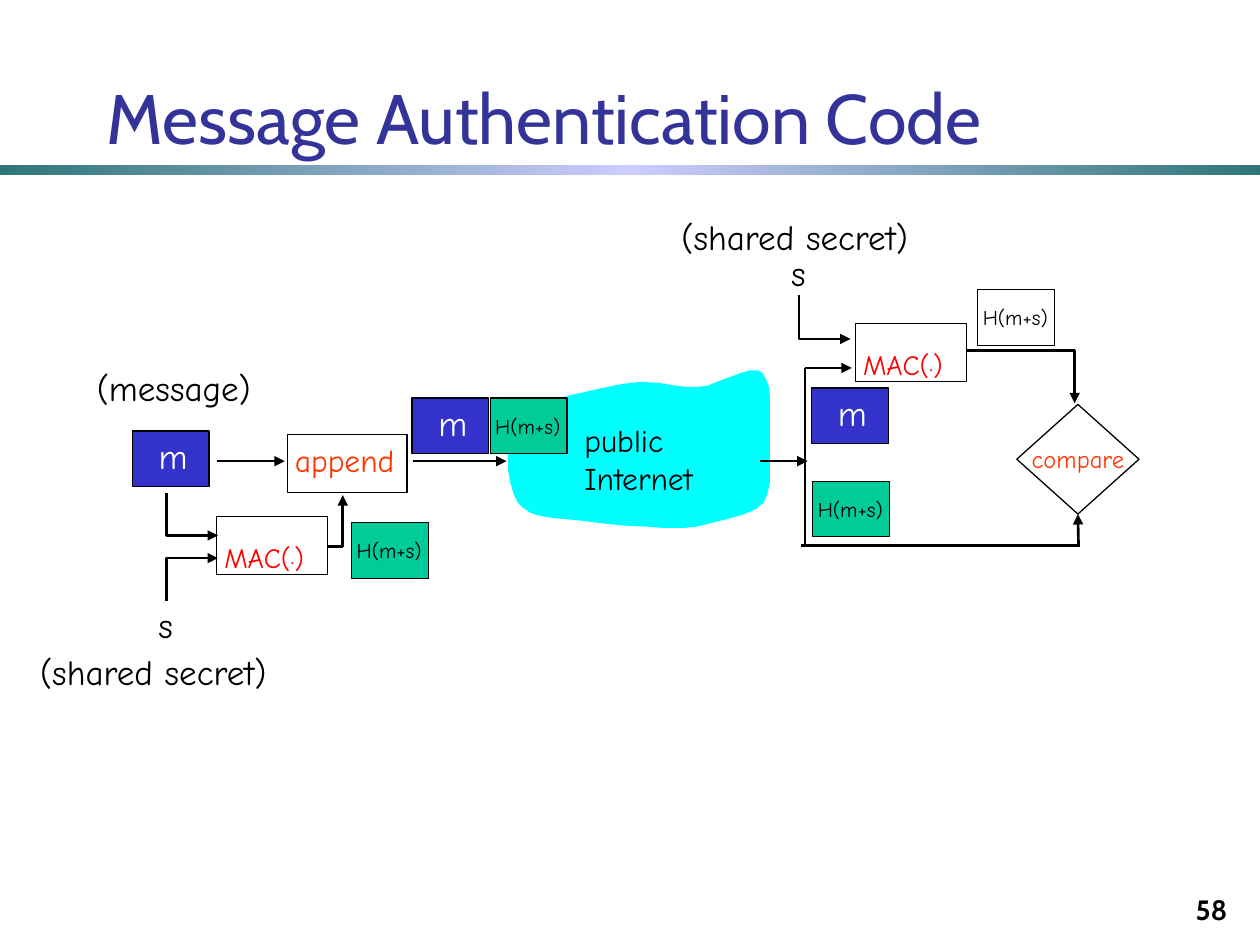
from copy import deepcopy
from dataclasses import dataclass

from lxml import etree
from pptx import Presentation
from pptx.dml.color import RGBColor
from pptx.enum import shapes, text
from pptx.oxml import ns
from pptx.util import Inches, Pt

BLACK = RGBColor(0, 0, 0)
WHITE = RGBColor(255, 255, 255)
BLUE = RGBColor(0x33, 0x33, 0xCC)
GREEN = RGBColor(0x00, 0xCC, 0x99)
CYAN = RGBColor(0x00, 0xFF, 0xFF)
RED = RGBColor(0xFF, 0x00, 0x00)
ORANGE = RGBColor(0xFF, 0x33, 0x00)
INDIGO = RGBColor(0x33, 0x33, 0x99)
TEAL = RGBColor(0x2F, 0x76, 0x76)
LAVENDER = RGBColor(0xCC, 0xCC, 0xFF)
BODY_FONT, TITLE_FONT = "Comic Neue", "Cabin"

Point = tuple[float, float]


@dataclass(frozen=True)
class NodeStyle:
    label: str
    width: float
    height: float
    fill: RGBColor
    ink: RGBColor
    size: int
    inset: Point


@dataclass(frozen=True)
class Label:
    words: str
    left: float
    top: float
    width: float
    height: float
    size: int = 20
    ink: RGBColor = BLACK
    font: str = BODY_FONT
    align: text.PP_ALIGN = text.PP_ALIGN.LEFT
    anchor: text.MSO_ANCHOR = text.MSO_ANCHOR.TOP
    bold: bool = False


MESSAGE = NodeStyle("m", 0.61, 0.44, BLUE, WHITE, 20, (0.21, 0.03))
HASH = NodeStyle("H(m+s)", 0.61, 0.44, GREEN, BLACK, 12, (0.04, 0.12))
PLAIN_HASH = NodeStyle("H(m+s)", 0.61, 0.44, WHITE, BLACK, 12, (0.04, 0.12))
MAC = NodeStyle("MAC(.)", 0.88, 0.46, WHITE, RED, 16, (0.06, 0.08))
APPEND = NodeStyle("append", 0.95, 0.46, WHITE, ORANGE, 18, (0.06, 0.05))

NODES = [
    (MESSAGE, 1.05, 3.42), (MESSAGE, 3.27, 3.16), (MESSAGE, 6.44, 3.08),
    (HASH, 2.79, 4.15), (HASH, 3.89, 3.16), (HASH, 6.45, 3.82),
    (PLAIN_HASH, 7.76, 2.3), (MAC, 1.72, 4.1), (MAC, 6.79, 2.57),
    (APPEND, 2.28, 3.45),
]

LABELS = [
    Label("Message Authentication Code", 0.75, 0.36, 9.25, 0.95, 40, INDIGO,
          TITLE_FONT, anchor=text.MSO_ANCHOR.BOTTOM),
    Label("58", 7.76, 6.9, 2.08, 0.5, 16, BLACK, TITLE_FONT,
          text.PP_ALIGN.RIGHT, text.MSO_ANCHOR.BOTTOM, True),
    Label("s", 1.16, 4.74, 0.34, 0.43),
    Label("(shared secret)", 0.22, 5.11, 2.22, 0.43),
    Label("(message)", 0.67, 2.86, 1.49, 0.43),
    Label("public\nInternet", 4.54, 3.29, 1.23, 0.7, 18),
    Label("s", 6.18, 1.95, 0.34, 0.43),
    Label("(shared secret)", 5.31, 1.66, 2.22, 0.43),
]

BENT_ARROWS = [
    [(1.32, 3.91), (1.32, 4.25), (1.73, 4.25)],
    [(1.32, 4.77), (1.32, 4.43), (1.73, 4.43)],
    [(2.6, 4.34), (2.72, 4.34), (2.72, 3.93)],
    [(7.67, 2.78), (8.53, 2.78), (8.53, 3.2)],
    [(6.34, 2.34), (6.34, 2.69), (6.75, 2.69)],
]

STRAIGHT_LINES = [
    ((1.72, 3.66), (2.26, 3.66), True),
    ((3.28, 3.66), (4.02, 3.66), True),
    ((6.03, 3.66), (6.41, 3.66), True),
    ((6.39, 2.92), (6.76, 2.92), True),
    ((6.39, 2.92), (6.39, 4.33), False),
    ((6.36, 4.33), (8.57, 4.33), False),
]

CLOUD = [
    (6.05, 2.96), (6.02, 2.94), (5.95, 2.94), (5.88, 2.96), (5.8, 2.99),
    (5.69, 3.03), (5.62, 3.06), (5.54, 3.07), (5.45, 3.07), (5.35, 3.06),
    (5.24, 3.04), (5.09, 3.03), (4.99, 3.04), (4.87, 3.06), (4.69, 3.1),
    (4.51, 3.14), (4.39, 3.18), (4.28, 3.22), (4.19, 3.27), (4.13, 3.32),
    (4.08, 3.39), (4.05, 3.48), (4.03, 3.59), (4.03, 3.72), (4.05, 3.83),
    (4.08, 3.93), (4.11, 3.99), (4.15, 4.03), (4.21, 4.07), (4.27, 4.09),
    (4.38, 4.11), (4.59, 4.13), (4.75, 4.15), (4.94, 4.17), (5.13, 4.18),
    (5.28, 4.19), (5.42, 4.19), (5.53, 4.18), (5.65, 4.15), (5.77, 4.12),
    (5.91, 4.08), (6.0, 4.04), (6.06, 3.99), (6.09, 3.92), (6.11, 3.83),
    (6.11, 3.6), (6.11, 3.14), (6.1, 3.06), (6.08, 3.01),
]


def write(shape, words: str, size: int, ink: RGBColor, font: str, align, bold: bool = False) -> None:
    shape.text_frame.text = words
    for para in shape.text_frame.paragraphs:
        para.alignment = align
        para.font.size, para.font.name, para.font.bold = Pt(size), font, bold
        para.font.color.rgb = ink


def add_box(page, kind, left: float, top: float, width: float, height: float, fill: RGBColor):
    box = page.shapes.add_shape(kind, Inches(left), Inches(top), Inches(width), Inches(height))
    box.shadow.inherit = False
    box.fill.solid()
    box.fill.fore_color.rgb = fill
    box.line.color.rgb, box.line.width = BLACK, Pt(0.75)
    return box


def add_node(page, style: NodeStyle, left: float, top: float) -> None:
    box = add_box(page, shapes.MSO_SHAPE.RECTANGLE, left, top, style.width, style.height, style.fill)
    frame = box.text_frame
    frame.margin_left, frame.margin_top = map(Inches, style.inset)
    frame.margin_right = frame.margin_bottom = 0
    frame.vertical_anchor = text.MSO_ANCHOR.TOP
    write(box, style.label, style.size, style.ink, BODY_FONT, text.PP_ALIGN.LEFT)
    if style is MAC:
        para = frame.paragraphs[0]
        para.runs[0].text = "MAC("
        for piece in (".", ")"):
            para.add_run().text = piece
        dot = para.runs[1].font
        dot.size = Pt(24)
        dot._element.set("baseline", "10000")


def add_label(page, label: Label) -> None:
    box = page.shapes.add_textbox(*map(Inches, (label.left, label.top, label.width, label.height)))
    box.text_frame.word_wrap = True
    box.text_frame.vertical_anchor = label.anchor
    write(box, label.words, label.size, label.ink, label.font, label.align, label.bold)


def style_line(shape, arrow: bool) -> None:
    shape.line.color.rgb, shape.line.width = BLACK, Pt(1.5)
    if arrow:
        etree.SubElement(shape.line._get_or_add_ln(), ns.qn("a:tailEnd"), type="triangle")


def add_line(page, start: Point, end: Point, arrow: bool):
    line = page.shapes.add_connector(shapes.MSO_CONNECTOR.STRAIGHT, *map(Inches, start + end))
    style_line(line, arrow)
    etree.SubElement(line._element.spPr, ns.qn("a:effectLst"))
    return line


def add_outline(page, points: list[Point], close: bool):
    first, *others = [(Inches(x), Inches(y)) for x, y in points]
    builder = page.shapes.build_freeform(*first)
    builder.add_line_segments(others, close=close)
    outline = builder.convert_to_shape()
    outline.shadow.inherit = False
    return outline


def add_title_bar(page) -> None:
    bar = add_box(page, shapes.MSO_SHAPE.RECTANGLE, 0, 1.31, 10, 0.08, TEAL)
    bar.line.fill.background()
    bar.fill.gradient()
    bar.fill.gradient_angle = 0
    first, last = bar.fill.gradient_stops
    first.color.rgb = last.color.rgb = TEAL
    first.position, last.position = 0, 1
    first._gs.addnext(deepcopy(first._gs))
    middle = bar.fill.gradient_stops[1]
    middle.color.rgb, middle.position = LAVENDER, 0.5


def main() -> None:
    """Build the message authentication code slide."""
    deck = Presentation()
    deck.slide_width, deck.slide_height = Inches(10), Inches(7.5)
    page = deck.slides.add_slide(deck.slide_layouts[6])
    add_title_bar(page)
    cloud = add_outline(page, CLOUD, True)
    cloud.fill.solid()
    cloud.fill.fore_color.rgb = CYAN
    cloud.line.fill.background()
    for style, left, top in NODES:
        add_node(page, style, left, top)
    for label in LABELS:
        add_label(page, label)
    for points in BENT_ARROWS:
        bend = add_outline(page, points, False)
        bend.fill.background()
        style_line(bend, True)
    for start, end, arrow in STRAIGHT_LINES:
        add_line(page, start, end, arrow)
    diamond = add_box(page, shapes.MSO_SHAPE.DIAMOND, 8.07, 3.21, 0.97, 0.87, WHITE)
    diamond.text_frame.word_wrap = False
    write(diamond, "compare", 14, ORANGE, BODY_FONT, text.PP_ALIGN.CENTER)
    add_line(page, (8.56, 4.33), (8.55, 4.08), True).end_connect(diamond, 2)
    deck.save("out.pptx")


if __name__ == "__main__":
    main()
